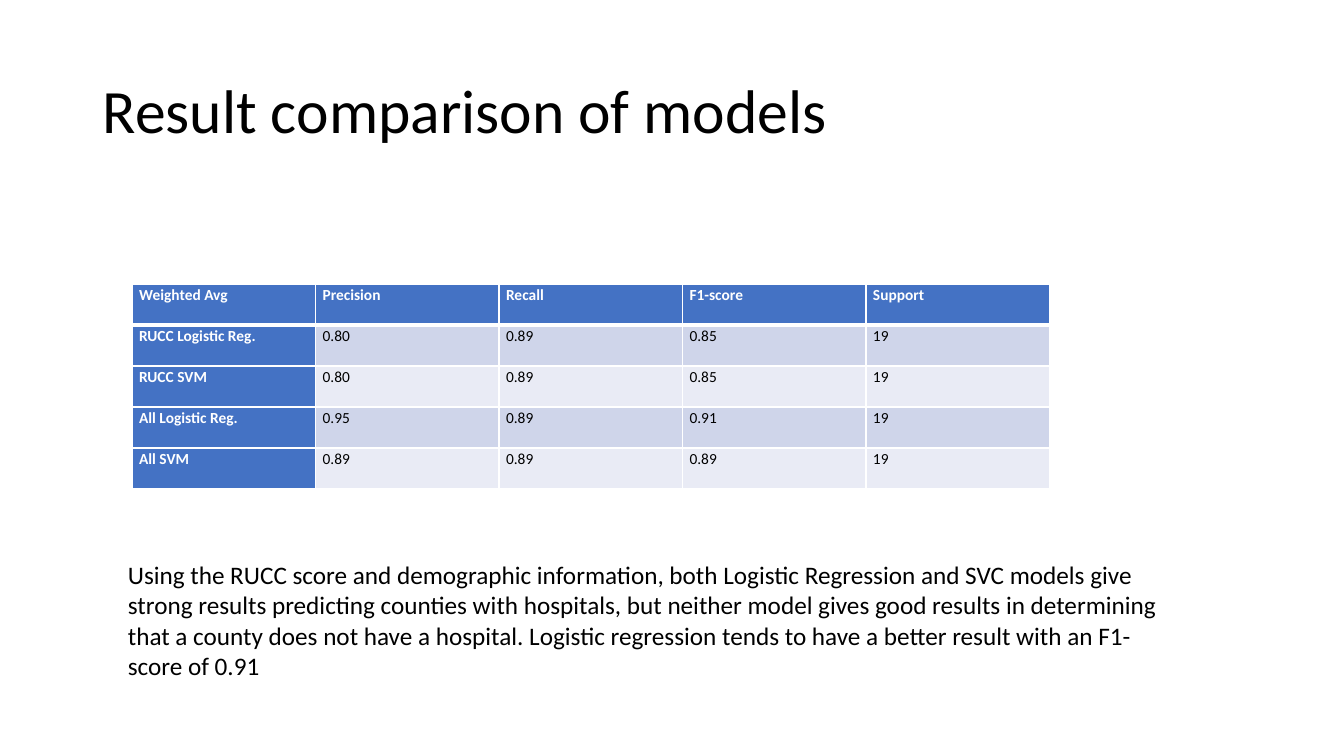
"""Build a slide that compares the scores of four models."""
import pptx
import pptx.dml.color
import pptx.enum.text
import pptx.oxml
import pptx.oxml.ns
import pptx.util
from pptx.util import Inches

BLACK = pptx.dml.color.RGBColor(0x00, 0x00, 0x00)
WHITE = pptx.dml.color.RGBColor(0xFF, 0xFF, 0xFF)
HEADING_BLUE = pptx.dml.color.RGBColor(0x44, 0x72, 0xC4)
BAND_DARK = pptx.dml.color.RGBColor(0xCF, 0xD5, 0xEA)
BAND_LIGHT = pptx.dml.color.RGBColor(0xE9, 0xEB, 0xF5)

SCORES = [
    ["Weighted Avg", "Precision", "Recall", "F1-score", "Support"],
    ["RUCC Logistic Reg.", "0.80", "0.89", "0.85", "19"],
    ["RUCC SVM", "0.80", "0.89", "0.85", "19"],
    ["All Logistic Reg.", "0.95", "0.89", "0.91", "19"],
    ["All SVM", "0.89", "0.89", "0.89", "19"],
]
CONCLUSION = (
    "Using the RUCC score and demographic information, both Logistic Regression "
    "and SVC models give strong results predicting counties with hospitals, but "
    "neither model gives good results in determining that a county does not have "
    "a hospital. Logistic regression tends to have a better result with an "
    "F1-score of 0.91"
)


def write_text(frame, text, size, color=BLACK, bold=False, line_spacing=1.0):
    """Write one left-aligned paragraph into a text frame."""
    frame.word_wrap = True
    paragraph = frame.paragraphs[0]
    paragraph.alignment = pptx.enum.text.PP_ALIGN.LEFT
    paragraph.line_spacing = line_spacing
    run = paragraph.add_run()
    run.text = text
    run.font.name = "Calibri"
    run.font.size = pptx.util.Pt(size)
    run.font.bold = bold
    run.font.color.rgb = color


def set_borders(cell, **widths):
    """Give a cell white borders with widths in points by side."""
    properties = cell._tc.get_or_add_tcPr()
    for position, (side, width) in enumerate(widths.items()):
        border = pptx.oxml.parse_xml(
            f'<a:ln{side} {pptx.oxml.ns.nsdecls("a")} w="{pptx.util.Pt(width)}">'
            f'<a:solidFill><a:srgbClr val="{WHITE}"/></a:solidFill></a:ln{side}>'
        )
        properties.insert(position, border)


def add_title(slide, text):
    """Place and fill the slide title."""
    title = slide.shapes.title
    title.left, title.top = Inches(0.92), Inches(0.4)
    title.width, title.height = Inches(11.5), Inches(1.45)
    title.text_frame.vertical_anchor = pptx.enum.text.MSO_ANCHOR.MIDDLE
    write_text(title.text_frame, text, 44, line_spacing=0.9)


def add_score_table(slide, scores):
    """Add the table with a heading row, a heading column and banded rows."""
    table = slide.shapes.add_table(
        len(scores), len(scores[0]),
        Inches(1.31), Inches(2.82), Inches(9.1), Inches(2.03),
    ).table
    table.first_col = True
    for row, values in enumerate(scores):
        for column, value in enumerate(values):
            cell = table.cell(row, column)
            heading = row == 0 or column == 0
            band = BAND_DARK if row % 2 else BAND_LIGHT
            cell.fill.solid()
            cell.fill.fore_color.rgb = HEADING_BLUE if heading else band
            cell.margin_left = cell.margin_right = Inches(0.07)
            cell.margin_top = cell.margin_bottom = 0
            write_text(cell.text_frame, value, 11, bold=heading,
                       color=WHITE if heading else BLACK, line_spacing=1.07)
            set_borders(cell, L=1, R=1, T=3 if row == 1 else 1,
                        B=3 if row == 0 else 1)


def add_conclusion(slide, text):
    """Add the closing remark below the table."""
    conclusion = slide.shapes.add_textbox(
        Inches(1.17), Inches(5.5), Inches(10.53), Inches(1.31))
    write_text(conclusion.text_frame, text, 18)
    conclusion.text_frame.auto_size = pptx.enum.text.MSO_AUTO_SIZE.SHAPE_TO_FIT_TEXT


def main():
    """Build and save the presentation."""
    presentation = pptx.Presentation()
    presentation.slide_width = Inches(13.33)
    presentation.slide_height = Inches(7.5)
    slide = presentation.slides.add_slide(
        presentation.slide_layouts.get_by_name("Title Only"))
    add_title(slide, "Result comparison of models")
    add_score_table(slide, SCORES)
    add_conclusion(slide, CONCLUSION)
    presentation.save("out.pptx")


if __name__ == "__main__":
    main()
